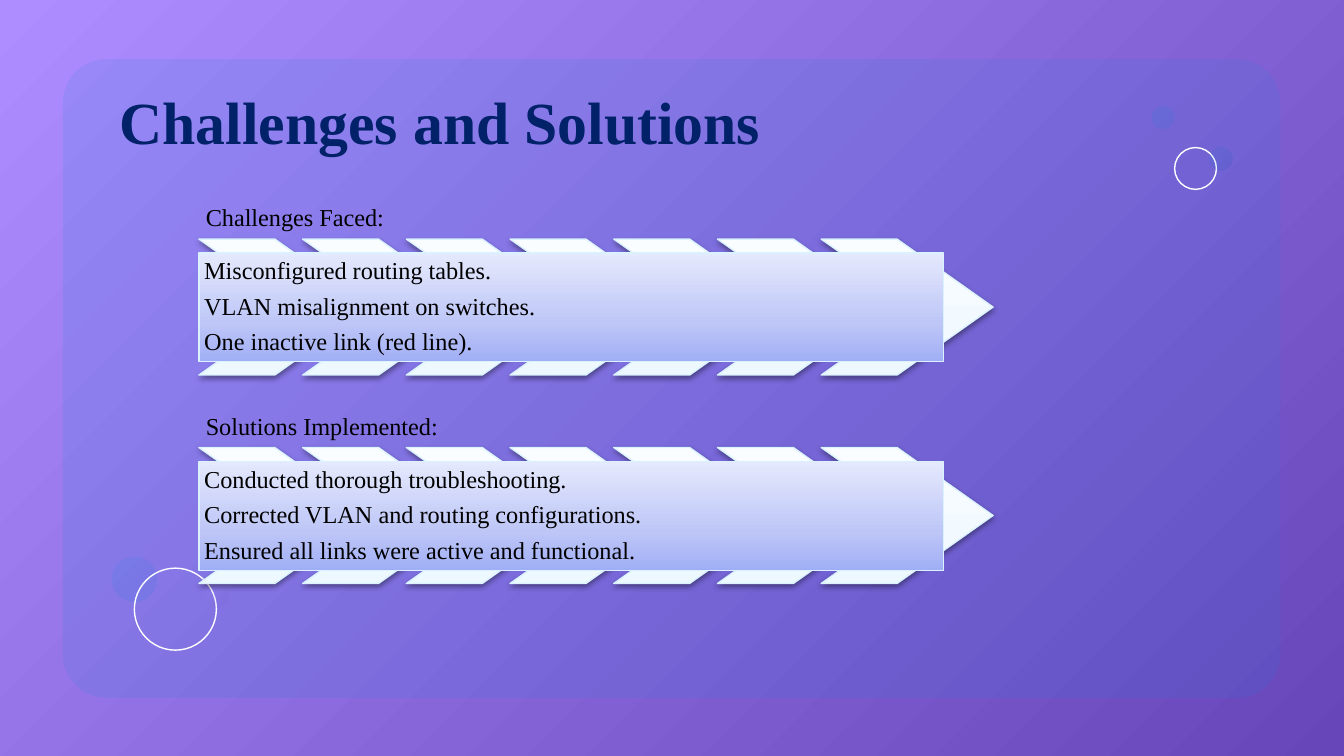
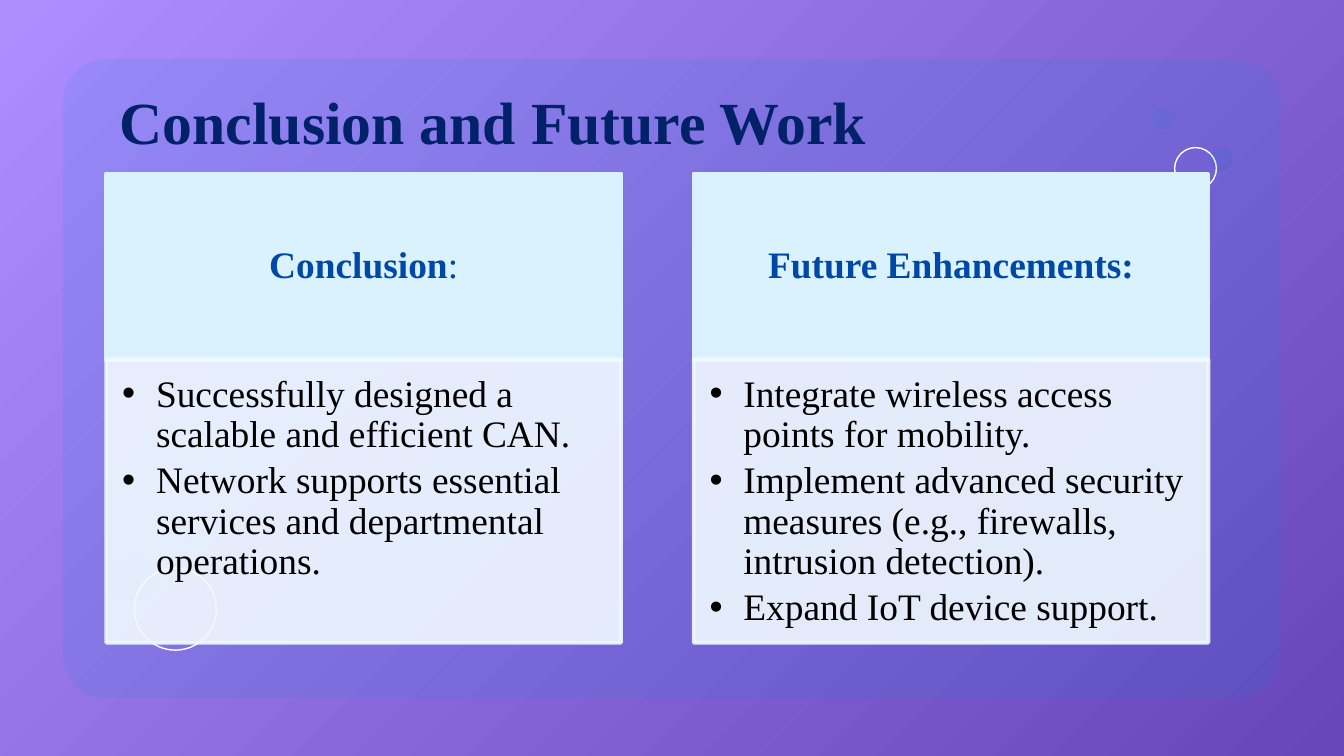
from pptx import Presentation
from pptx import util as u
from pptx.dml.color import RGBColor
from pptx.enum import shapes, text
from pptx.oxml import parse_xml
from pptx.oxml.ns import nsdecls, qn
from lxml import etree

COLORS = {
    "lilac": "AD8DFF", "violet": "6746B9", "azure": "0388E5", "blue": "0048A7",
    "navy": "012169", "ice": "DAF2FE", "frost": "F1FAFF", "white": "FFFFFF", "black": "000000",
    "arrow_low": "EDF9FF", "arrow_mid": "F2FAFF", "arrow_high": "FAFDFF",
    "band_low": "A0AEF5", "band_mid": "BEC6F7", "band_high": "E5E9FD",
}
FONT = "Times New Roman"
ARROW_STOPS = [(0, "arrow_low"), (35, "arrow_mid"), (100, "arrow_high")]
BAND_STOPS = [(0, "band_low"), (35, "band_mid"), (100, "band_high")]

CHALLENGES = [
    ("Challenges Faced:", ["Misconfigured routing tables.",
                           "VLAN misalignment on switches.",
                           "One inactive link (red line)."]),
    ("Solutions Implemented:", ["Conducted thorough troubleshooting.",
                                "Corrected VLAN and routing configurations.",
                                "Ensured all links were active and functional."]),
]
CARDS = [
    ([("Conclusion", True), (":", False)],
     ["Successfully designed a scalable and efficient CAN.",
      "Network supports essential services and departmental operations."]),
    ([("Future Enhancements:", True)],
     ["Integrate wireless access points for mobility.",
      "Implement advanced security measures (e.g., firewalls, intrusion detection).",
      "Expand IoT device support."]),
]


def rgb(name):
    return RGBColor.from_string(COLORS[name])


def set_alpha(element, percent):
    """Make every colour inside the element partly transparent."""
    for color in element.iter(qn("a:srgbClr")):
        etree.SubElement(color, qn("a:alpha")).set("val", str(percent * 1000))


def set_gradient(fill, owner, stops, angle):
    """Fill with (percent, colour name) stops; the angle runs counter-clockwise."""
    fill.gradient()
    fill.gradient_angle = angle
    stop_list = owner.xpath(".//a:gsLst")[0]
    for stop in list(stop_list):
        stop_list.remove(stop)
    for percent, name in stops:
        stop = etree.SubElement(stop_list, qn("a:gs"), pos=str(percent * 1000))
        etree.SubElement(stop, qn("a:srgbClr"), val=COLORS[name])


def add_shape(slide, kind, left, top, width, height, fill=None, line=None, line_width=0.75):
    shape = slide.shapes.add_shape(kind, u.Cm(left), u.Cm(top), u.Cm(width), u.Cm(height))
    shape.shadow.inherit = False
    if fill:
        shape.fill.solid()
        shape.fill.fore_color.rgb = rgb(fill)
    else:
        shape.fill.background()
    if line:
        shape.line.color.rgb = rgb(line)
        shape.line.width = u.Pt(line_width)
    else:
        shape.line.fill.background()
    return shape


def set_frame(shape, anchor, *insets):
    frame = shape.text_frame
    frame.word_wrap = True
    frame.auto_size = text.MSO_AUTO_SIZE.NONE
    frame.vertical_anchor = anchor
    frame.margin_left, frame.margin_top, frame.margin_right, frame.margin_bottom = map(u.Cm, insets)
    return frame


def format_paragraph(paragraph, size, color="black", gap=0, spacing=0.9,
                     align=text.PP_ALIGN.LEFT):
    paragraph.alignment = align
    paragraph.line_spacing = spacing
    paragraph.space_before = u.Pt(0)
    paragraph.space_after = u.Pt(gap)
    for run in paragraph.runs:
        run.font.name = FONT
        run.font.size = u.Pt(size)
        run.font.color.rgb = rgb(color)


def add_bullet(paragraph):
    properties = paragraph._p.get_or_add_pPr()
    properties.set("marL", str(u.Cm(0.64)))
    properties.set("indent", str(-u.Cm(0.64)))
    color = etree.SubElement(properties, qn("a:buClr"))
    etree.SubElement(color, qn("a:srgbClr"), val=COLORS["black"])
    etree.SubElement(properties, qn("a:buFont"), typeface="Arial")
    etree.SubElement(properties, qn("a:buChar"), char="•")


def decorate_layout(layout, slide):
    """Draw the shared panel and circles on the slide and move them to its layout."""
    for placeholder in list(layout.placeholders):
        if placeholder.placeholder_format.type != shapes.PP_PLACEHOLDER.TITLE:
            layout.shapes.element.remove(placeholder.element)
    set_gradient(layout.background.fill, layout.element, [(0, "lilac"), (100, "violet")], 315)

    panel = add_shape(slide, shapes.MSO_SHAPE.ROUNDED_RECTANGLE, 1.19, 1.12, 23.01, 12.07, "azure")
    panel.adjustments[0] = 0.068
    set_alpha(panel.element, 10)
    decorations = [panel]
    for left, top, size, style in [
        (22.2, 2.79, 0.79, "ring"), (22.86, 2.79, 0.43, ("azure", "blue")),
        (2.11, 10.52, 0.86, "dot"), (2.54, 10.74, 1.55, "ring"),
        (3.89, 11.05, 0.43, ("lilac", "violet")), (21.77, 2.01, 0.43, "dot"),
    ]:
        circle = add_shape(slide, shapes.MSO_SHAPE.OVAL, left, top, size, size,
                           fill="azure" if style == "dot" else None,
                           line="white" if style == "ring" else None)
        if isinstance(style, tuple):
            set_gradient(circle.fill, circle.element, zip((0, 100), style), 315)
        if style != "ring":
            set_alpha(circle.element, 10)
        decorations.append(circle)
    for decoration in decorations:
        layout.shapes.element.append(decoration.element)


def set_title(slide, wording):
    title = slide.shapes.title
    title.left, title.top, title.width, title.height = map(u.Cm, (2.01, 1.24, 21.41, 1.6))
    frame = set_frame(title, text.MSO_ANCHOR.TOP, 0.25, 0.36, 0.25, 0.25)
    frame.text = wording
    format_paragraph(frame.paragraphs[0], 32, "navy", spacing=1.0)
    frame.paragraphs[0].runs[0].font.bold = True


def add_chevron(slide, left, top):
    chevron = add_shape(slide, shapes.MSO_SHAPE.CHEVRON, left, top, 3.25, 2.57, line="ice")
    chevron.adjustments[0] = 0.706
    set_gradient(chevron.fill, chevron.element, ARROW_STOPS, 90)
    chevron.element.spPr.find(qn("a:effectLst")).append(parse_xml(
        f'<a:outerShdw {nsdecls("a")} blurRad="{u.Pt(3.1)}" dist="{u.Pt(1.6)}" dir="5400000" '
        f'rotWithShape="0"><a:srgbClr val="{COLORS["black"]}"><a:alpha val="38000"/>'
        '</a:srgbClr></a:outerShdw>'))


def add_arrow_list(slide, left, top, heading, lines):
    """Place a heading over a row of chevrons with a text band across them."""
    label = slide.shapes.add_textbox(u.Cm(left), u.Cm(top), u.Cm(13.89), u.Cm(1.27))
    frame = set_frame(label, text.MSO_ANCHOR.BOTTOM, 0.13, 0.13, 0.13, 0.13)
    frame.text = heading
    format_paragraph(frame.paragraphs[0], 13)

    for index in range(7):
        add_chevron(slide, left + index * 1.96, top + 1.27)

    band = add_shape(slide, shapes.MSO_SHAPE.RECTANGLE, left, top + 1.53, 14.07, 2.06, line="ice")
    set_gradient(band.fill, band.element, BAND_STOPS, 90)
    frame = set_frame(band, text.MSO_ANCHOR.MIDDLE, 0.1, 0.1, 0.1, 0.1)
    frame.text = "\n".join(lines)
    for paragraph in frame.paragraphs:
        format_paragraph(paragraph, 13, gap=5)


def add_card(slide, left, top, heading, points):
    width, head_height = 9.73, 3.53
    head = add_shape(slide, shapes.MSO_SHAPE.RECTANGLE, left, top, width, head_height,
                     "ice", "ice", 2)
    frame = set_frame(head, text.MSO_ANCHOR.MIDDLE, 0.41, 0.23, 0.41, 0.23)
    for wording, bold in heading:
        run = frame.paragraphs[0].add_run()
        run.text = wording
        run.font.bold = bold
    format_paragraph(frame.paragraphs[0], 20, "blue", align=text.PP_ALIGN.CENTER)

    body = add_shape(slide, shapes.MSO_SHAPE.RECTANGLE, left, top + head_height - 0.02,
                     width, 5.36, "frost", "frost", 2)
    set_alpha(body.element.spPr, 90)
    frame = set_frame(body, text.MSO_ANCHOR.TOP, 0.3, 0.3, 0.41, 0.43)
    frame.text = "\n".join(points)
    for paragraph in frame.paragraphs:
        format_paragraph(paragraph, 20, gap=3.2)
        add_bullet(paragraph)


def fill_challenges_slide(slide):
    set_title(slide, "Challenges and Solutions")
    for index, (heading, lines) in enumerate(CHALLENGES):
        add_arrow_list(slide, 3.76, 3.25 + index * 3.94, heading, lines)


def fill_conclusion_slide(slide):
    set_title(slide, "Conclusion and Future Work")
    for index, (heading, points) in enumerate(CARDS):
        add_card(slide, 2.01 + index * 11.1, 3.28, heading, points)


def main():
    presentation = Presentation()
    presentation.slide_width, presentation.slide_height = u.Cm(25.4), u.Cm(14.29)
    layout = presentation.slide_layouts[5]
    challenges = presentation.slides.add_slide(layout)
    decorate_layout(layout, challenges)
    fill_challenges_slide(challenges)
    fill_conclusion_slide(presentation.slides.add_slide(layout))
    presentation.save("out.pptx")


if __name__ == "__main__":
    main()
